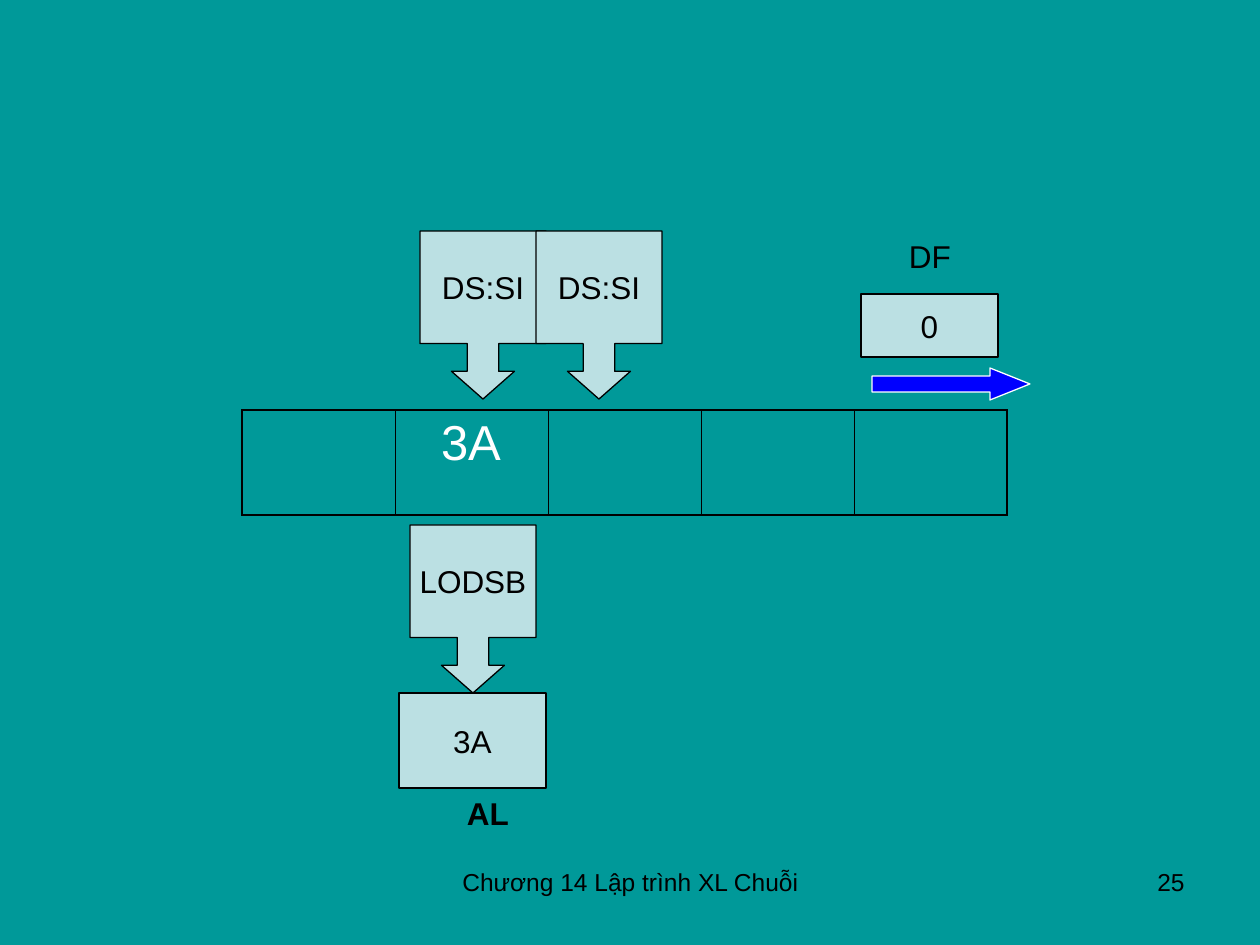
import pptx
import pptx.util
import pptx.oxml
import pptx.dml.color
import pptx.enum.shapes
import pptx.enum.text
from lxml import etree

SCALE = 914400 // 126
SHAPE = pptx.enum.shapes.MSO_SHAPE
ALIGN = pptx.enum.text.PP_ALIGN
ANCHOR = pptx.enum.text.MSO_ANCHOR

THEME = {
    "font": "Arial",
    "background": "009999", "panel": "BBE0E3", "ink": "000000",
    "light": "FFFFFF", "direction": "0000FF",
    "body": 18, "memory": 28, "footer": 14,
    "line": 0.75, "outer": 1.08, "inner": 0.45,
}

MEMORY = ["", "3A", "", "", ""]
MEMORY_LEFT, MEMORY_TOP, CELL_WIDTH, CELL_HEIGHT = 242, 410, 153, 105
CALLOUT_SIZE = (126, 168)
CALLOUTS = [("DS:SI", 420, 231), ("DS:SI", 536, 231), ("LODSB", 410, 525)]
REGISTERS = [("3A", (399, 693, 147, 95)), ("0", (861, 294, 137, 63))]
DIRECTION_ARROW = (872, 368, 158, 32)
LABELS = [
    ("DF", (872, 231, 116, 50), {}),
    ("AL", (420, 788, 136, 50), {"bold": True}),
    ("Chương 14 Lập trình XL Chuỗi", (431, 861, 399, 65), {"size": THEME["footer"]}),
    ("25", (903, 861, 294, 65), {"size": THEME["footer"], "align": ALIGN.RIGHT}),
]


def px(*lengths):
    return [pptx.util.Emu(length * SCALE) for length in lengths]


def color(name):
    return pptx.dml.color.RGBColor.from_string(THEME[name])


def write(frame, text, size=THEME["body"], ink="ink", bold=False, align=ALIGN.CENTER):
    para = frame.paragraphs[0]
    para.alignment = align
    span = para.add_run()
    span.text = text
    span.font.name = THEME["font"]
    span.font.size = pptx.util.Pt(size)
    span.font.bold = bold
    span.font.color.rgb = color(ink)


def add_panel(page, kind, place, fill="panel", line="ink", adjustments=(), text=""):
    panel = page.shapes.add_shape(kind, *px(*place))
    panel.shadow.inherit = False
    panel.fill.solid()
    panel.fill.fore_color.rgb = color(fill)
    panel.line.color.rgb = color(line)
    panel.line.width = pptx.util.Pt(THEME["line"])
    for index, value in enumerate(adjustments):
        panel.adjustments[index] = value
    if text:
        panel.text_frame.word_wrap = False
        panel.text_frame.vertical_anchor = ANCHOR.MIDDLE
        write(panel.text_frame, text)


def add_label(page, text, place, style):
    box = page.shapes.add_textbox(*px(*place))
    box.text_frame.word_wrap = True
    write(box.text_frame, text, **style)


def set_borders(cell, widths):
    properties = cell._tc.get_or_add_tcPr()
    for index, (side, width) in enumerate(widths.items()):
        border = etree.Element(pptx.oxml.ns.qn(f"a:ln{side}"), w=str(pptx.util.Pt(width)))
        fill = etree.SubElement(border, pptx.oxml.ns.qn("a:solidFill"))
        etree.SubElement(fill, pptx.oxml.ns.qn("a:srgbClr"), val=THEME["ink"])
        properties.insert(index, border)


def add_memory(page):
    count = len(MEMORY)
    place = px(MEMORY_LEFT, MEMORY_TOP, CELL_WIDTH * count, CELL_HEIGHT)
    table = page.shapes.add_table(1, count, *place).table
    table.first_row = table.horz_banding = False
    outer, inner = THEME["outer"], THEME["inner"]
    for index, text in enumerate(MEMORY):
        cell = table.cell(0, index)
        cell.fill.background()
        set_borders(cell, {
            "L": outer if index == 0 else inner,
            "R": outer if index == count - 1 else inner,
            "T": outer,
            "B": outer,
        })
        if text:
            write(cell.text_frame, text, size=THEME["memory"], ink="light")


def main():
    deck = pptx.Presentation()
    deck.slide_width, deck.slide_height = px(1260, 945)
    page = deck.slides.add_slide(deck.slide_layouts[6])
    page.background.fill.solid()
    page.background.fill.fore_color.rgb = color("background")

    add_memory(page)
    for text, left, top in CALLOUTS:
        add_panel(page, SHAPE.DOWN_ARROW_CALLOUT, (left, top, *CALLOUT_SIZE),
                  adjustments=(0.25, 0.25, 0.22, 0.67), text=text)
    for text, place in REGISTERS:
        add_panel(page, SHAPE.RECTANGLE, place, text=text)
    add_panel(page, SHAPE.RIGHT_ARROW, DIRECTION_ARROW, fill="direction",
              line="light", adjustments=(0.5, 1.25))
    for text, place, style in LABELS:
        add_label(page, text, place, style)

    deck.save("out.pptx")


if __name__ == "__main__":
    main()
